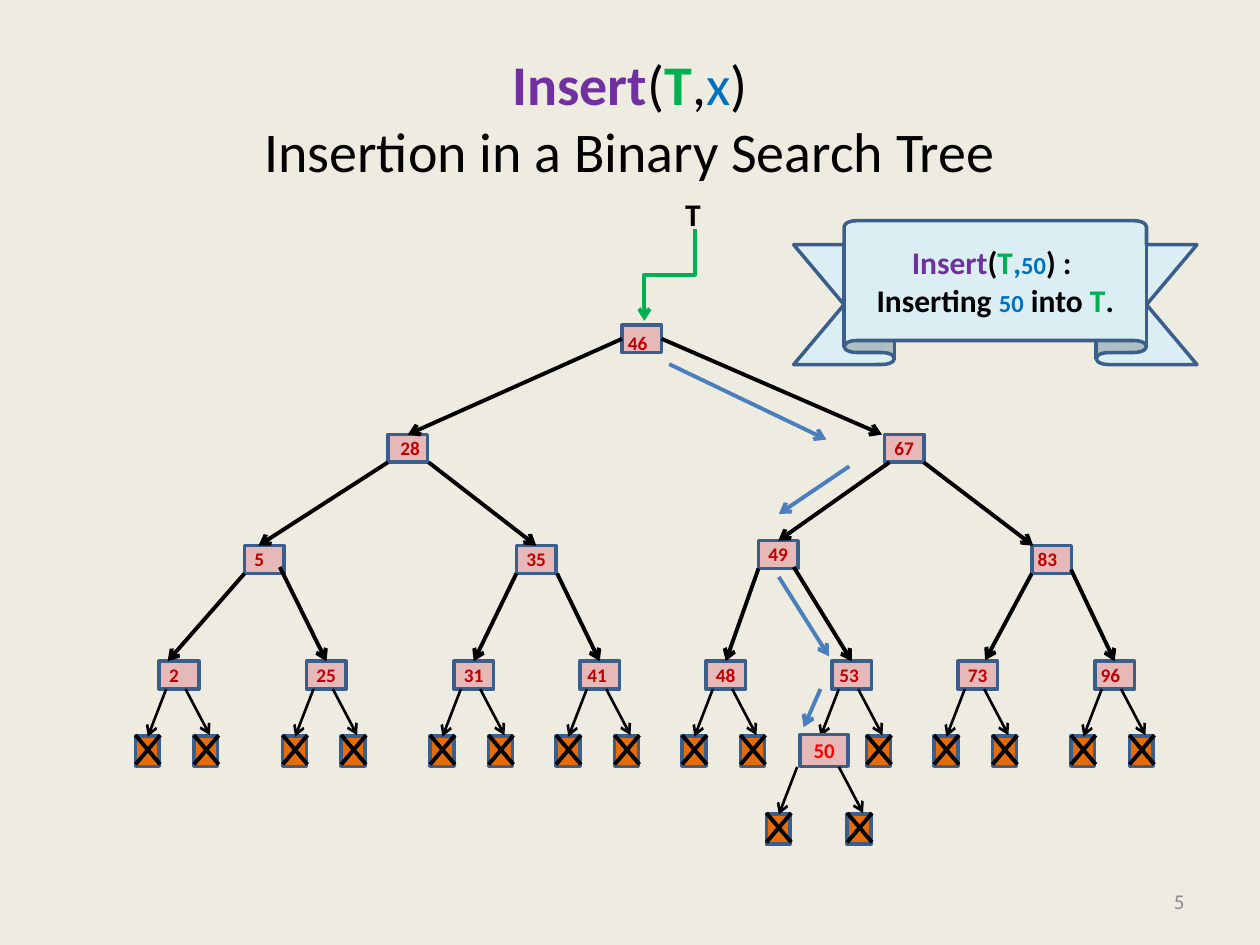
from lxml.etree import SubElement
from pptx import Presentation
from pptx.dml.color import RGBColor
from pptx.enum.shapes import MSO_CONNECTOR, MSO_SHAPE
from pptx.enum.text import MSO_ANCHOR, MSO_AUTO_SIZE, PP_ALIGN
from pptx.oxml.ns import qn
from pptx.util import Cm, Pt

CREAM = RGBColor(0xEE, 0xEC, 0xE1)
PINK = RGBColor(0xE6, 0xB9, 0xB8)
ORANGE = RGBColor(0xE4, 0x6C, 0x0A)
PALE_BLUE = RGBColor(0xDB, 0xEE, 0xF4)
NAVY = RGBColor(0x3A, 0x5F, 0x8C)
STEEL = RGBColor(0x4B, 0x7E, 0xBC)
BLACK = RGBColor(0, 0, 0)
PURPLE = RGBColor(0x70, 0x30, 0xA0)
GREEN = RGBColor(0, 0xB0, 0x50)
BLUE = RGBColor(0, 0x70, 0xC0)
DARK_RED = RGBColor(0xC0, 0, 0)
RED = RGBColor(0xFF, 0, 0)
GRAY = RGBColor(0x8C, 0x8C, 0x8C)

NODE_W, NODE_H = 0.8, 0.56
NULL_W, NULL_H = 0.48, 0.61
LEAF_TOP = 13.33

INNER_NODES = {
    "46": (12.54, 6.55), "28": (7.82, 8.76), "67": (17.83, 8.76),
    "5": (4.93, 11), "35": (10.41, 11), "49": (15.29, 10.9), "83": (20.8, 11),
}
LEAF_LEFTS = {
    "2": 3.21, "25": 6.18, "31": 9.15, "41": 11.69,
    "48": 14.23, "53": 16.77, "73": 19.31, "96": 22.07,
}
LABEL_SHIFTS = {
    "46": (-0.13, 0), "28": (0, -0.09), "83": (-0.13, -0.09),
    "96": (-0.13, -0.09), "41": (-0.1, -0.09), "53": (-0.1, -0.09),
}
EDGES = [
    ("46", 1, "28", 0),
    ("46", 3, "67", (17.78, 8.76)),
    ("28", (7.82, 9.32), "5", (5.21, 11)),
    ("28", (8.64, 9.32), "35", 0),
    ("67", (17.93, 9.32), "49", 0),
    ("67", (18.62, 9.32), "83", (20.83, 11)),
    ("5", (4.93, 11.56), "2", (3.38, 13.33)),
    ("5", (5.64, 11.43), "25", 0),
    ("35", (10.41, 11.56), "31", 0),
    ("35", (11.23, 11.56), "41", 0),
    ("49", (15.29, 11.46), "48", 0),
    ("49", (16, 11.43), "53", 0),
    ("83", (20.8, 11.56), "73", (19.86, 13.31)),
    ("83", (21.59, 11.48), "96", 0),
]
SEARCH_STEPS = [
    ((13.49, 7.34), (16.66, 8.86)),
    ((17.12, 9.4), (15.7, 10.36)),
    ((15.7, 11.63), (16.71, 13.23)),
    ((16.54, 13.89), (16.2, 14.66)),
]
LEFT_NULL = {"box": -0.48, "start": 0.14, "end": (-0.23, 1.52)}
RIGHT_NULL = {"box": 0.7, "start": 0.53, "end": (1.02, 1.49)}


def write(tf, lines, align=PP_ALIGN.LEFT, **frame):
    for name, value in frame.items():
        setattr(tf, name, value)
    for i, line in enumerate(lines):
        p = tf.add_paragraph() if i else tf.paragraphs[0]
        p.alignment = align
        for text, size, color, bold in line:
            r = p.add_run()
            r.text = text
            r.font.color.rgb = color
            fmt = {"name": "Calibri", "size": Pt(size), "bold": bold}
            for name, value in fmt.items():
                setattr(r.font, name, value)


def add_label(shapes, x, y, w, h, run, align=PP_ALIGN.LEFT, **frame):
    tb = shapes.add_textbox(Cm(x), Cm(y), Cm(w), Cm(h))
    write(tb.text_frame, [[run]], align, **frame)


def add_box(shapes, x, y, w, h, fill, kind=MSO_SHAPE.RECTANGLE):
    sp = shapes.add_shape(kind, Cm(x), Cm(y), Cm(w), Cm(h))
    sp.shadow.inherit = False
    sp.fill.solid()
    sp.fill.fore_color.rgb = fill
    sp.line.color.rgb = NAVY
    sp.line.width = Pt(2)
    return sp


def add_line(shapes, start, end, color=BLACK, width=2.25, head=True,
             kind=MSO_CONNECTOR.STRAIGHT):
    c = shapes.add_connector(kind, *map(Cm, (*start, *end)))
    c.line.color.rgb = color
    c.line.width = Pt(width)
    if head:
        SubElement(c.line._get_or_add_ln(), qn("a:tailEnd")).set("type", "arrow")
    SubElement(c._element.spPr, qn("a:effectLst"))
    return c


def add_edge(shapes, parent, start, child, end):
    start_site, end_site = isinstance(start, int), isinstance(end, int)
    c = add_line(shapes, (0, 0) if start_site else start,
                 (0, 0) if end_site else end)
    if start_site:
        c.begin_connect(parent, start)
    if end_site:
        c.end_connect(child, end)


def add_null_child(shapes, x, y, side, boxed=True):
    if boxed:
        left, top = x + side["box"], y + 1.51
        add_box(shapes, left, top, NULL_W, NULL_H, ORANGE)
        right, high, low = left + 0.5, top - 0.02, top + 0.57
        add_line(shapes, (right, high), (left, low), head=False)
        add_line(shapes, (left, high), (right, low), head=False)
    dx, dy = side["end"]
    add_line(shapes, (x + side["start"], y + NODE_H), (x + dx, y + dy), width=1.5)


def add_leaf(s, key, x):
    shapes = s.shapes.add_group_shape().shapes
    node = add_box(shapes, x, LEAF_TOP, NODE_W, NODE_H, PINK)
    add_null_child(shapes, x, LEAF_TOP, LEFT_NULL, boxed=key != "53")
    add_null_child(shapes, x, LEAF_TOP, RIGHT_NULL)
    return node


def add_tree(s):
    nodes = {key: add_box(s.shapes, x, y, NODE_W, NODE_H, PINK)
             for key, (x, y) in INNER_NODES.items()}
    nodes.update({key: add_leaf(s, key, x) for key, x in LEAF_LEFTS.items()})
    for parent, start, child, end in EDGES:
        add_edge(s.shapes, nodes[parent], start, nodes[child], end)
    for key, node in nodes.items():
        dx, dy = LABEL_SHIFTS.get(key, (-0.05, -0.09))
        add_label(s.shapes, node.left.cm + dx, node.top.cm + dy,
                  0.91 if len(key) == 2 else 0.71, 0.73,
                  (key, 11, DARK_RED, True), word_wrap=False,
                  auto_size=MSO_AUTO_SIZE.SHAPE_TO_FIT_TEXT)


def add_root_pointer(s):
    c = add_line(s.shapes, (12.57, 5.03), (14.43, 6.05), GREEN,
                 kind=MSO_CONNECTOR.ELBOW)
    c._element.spPr.xfrm.set("rot", "5400000")
    add_label(s.shapes, 13.56, 3.81, 0.81, 1.02, ("T", 18, BLACK, True),
              word_wrap=False, auto_size=MSO_AUTO_SIZE.SHAPE_TO_FIT_TEXT)


def add_banner(s):
    sp = add_box(s.shapes, 16, 4.45, 8.13, 2.9, PALE_BLUE, MSO_SHAPE.UP_RIBBON)
    sp.adjustments[0], sp.adjustments[1] = 0.167, 0.75
    write(sp.text_frame, [
        [("Insert", 18, PURPLE, True), ("(", 18, BLACK, True),
         ("T", 18, GREEN, True), (",", 18, BLUE, True),
         ("50", 14, BLUE, True), (") : ", 18, BLACK, True)],
        [("Inserting ", 18, BLACK, True), ("50", 14, BLUE, True),
         (" into ", 18, BLACK, True), ("T", 18, GREEN, True),
         (".", 18, BLACK, True)],
    ], PP_ALIGN.CENTER, vertical_anchor=MSO_ANCHOR.MIDDLE)


def add_inserted_node(s):
    shapes = s.shapes.add_group_shape().shapes
    sp = add_box(shapes, 16.13, 14.81, 0.97, 0.64, PINK)
    write(sp.text_frame, [[("50", 12, RED, True)]], PP_ALIGN.CENTER,
          vertical_anchor=MSO_ANCHOR.MIDDLE, margin_left=0, margin_right=0)
    add_null_child(shapes, 15.93, 14.9, LEFT_NULL)
    add_null_child(shapes, 16.38, 14.9, RIGHT_NULL)


def add_title(s):
    title = s.shapes.title
    box = {"left": 1.27, "top": 0.76, "width": 22.86, "height": 3.18}
    for name, value in box.items():
        setattr(title, name, Cm(value))
    write(title.text_frame, [
        [("Insert", 32, PURPLE, True), ("(", 32, BLACK, False),
         ("T", 32, GREEN, True), (",", 32, BLACK, False),
         ("x", 32, BLUE, False), (")", 32, BLACK, False)],
        [("Insertion in a Binary Search Tree", 32, BLACK, False)],
    ], PP_ALIGN.CENTER, vertical_anchor=MSO_ANCHOR.MIDDLE,
        auto_size=MSO_AUTO_SIZE.NONE)


def main():
    prs = Presentation()
    prs.slide_width, prs.slide_height = Cm(25.4), Cm(19.05)
    s = prs.slides.add_slide(prs.slide_layouts[5])
    s.background.fill.solid()
    s.background.fill.fore_color.rgb = CREAM
    add_title(s)
    add_label(s.shapes, 18.2, 17.66, 5.93, 1.01, ("5", 12, GRAY, False),
              PP_ALIGN.RIGHT, word_wrap=True, vertical_anchor=MSO_ANCHOR.MIDDLE)
    add_tree(s)
    add_root_pointer(s)
    add_banner(s)
    for start, end in SEARCH_STEPS:
        add_line(s.shapes, start, end, STEEL)
    add_inserted_node(s)
    prs.save("out.pptx")


if __name__ == "__main__":
    main()
